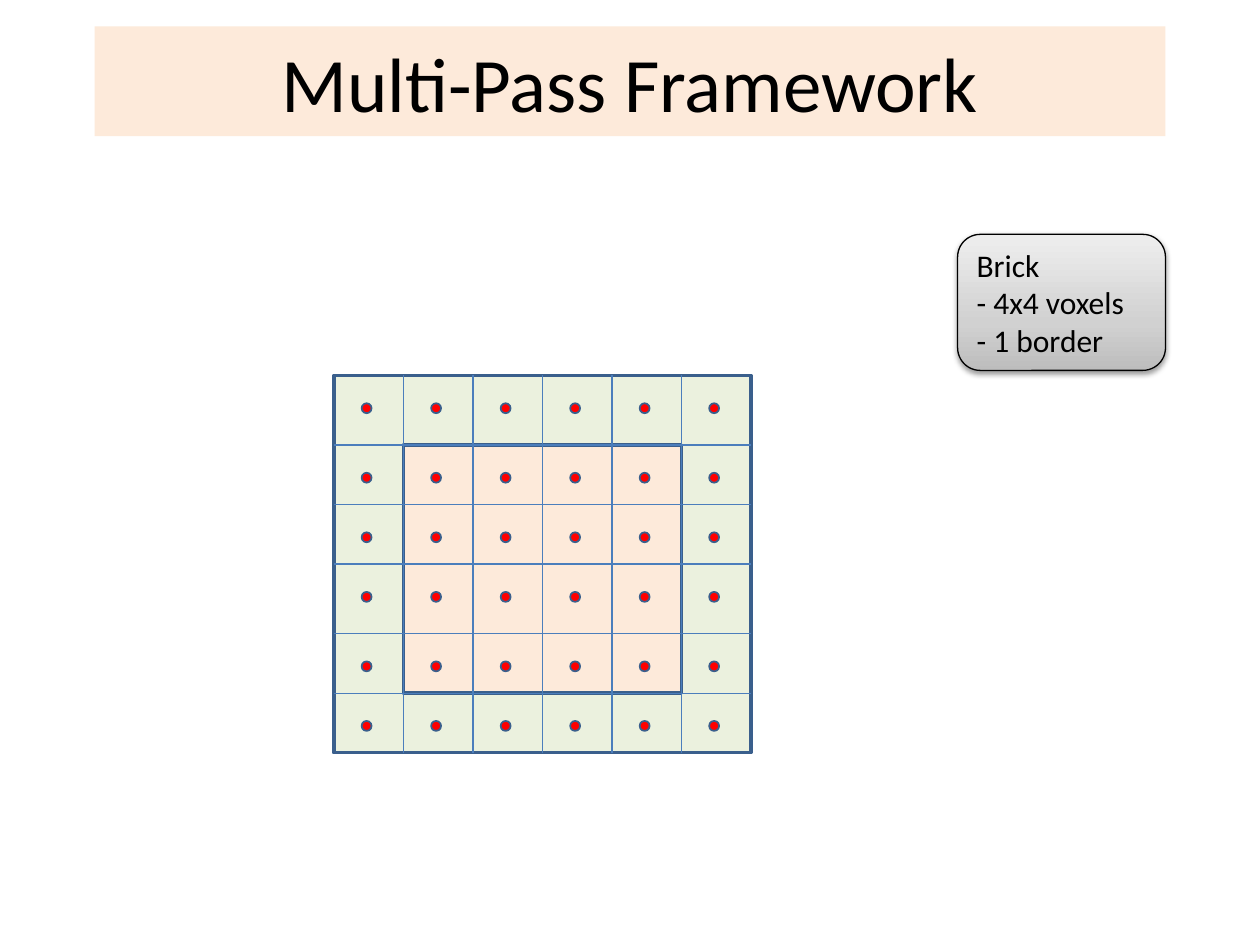
from copy import deepcopy

from lxml import etree
from pptx import Presentation
from pptx import util as u
from pptx.dml.color import RGBColor
from pptx.enum import shapes, text
from pptx.oxml import parse_xml
from pptx.oxml.ns import nsdecls, qn

COLORS = {
    "border": "EBF1DE", "core": "FDEADA", "outline": "3A5F8C", "grid": "4B7EBC",
    "voxel": "FF0000", "ink": "000000",
    "dark": "BDBDBD", "mid": "D1D1D1", "light": "EEEEEE",
}
UNIT = 0.0788
LEFT, TOP = 2.65, 2.98
COLS = [0, 7, 14, 21, 28, 35, 42]
ROWS = [0, 7, 13, 19, 26, 32, 38]
DOT_OFFSET = 2.8
SHADOW = (
    f'<a:effectLst {nsdecls("a")}><a:outerShdw blurRad="40000" dist="20000" '
    'dir="5400000" rotWithShape="0"><a:srgbClr val="{}"><a:alpha val="38000"/>'
    '</a:srgbClr></a:outerShdw></a:effectLst>'
)


class Board:
    """Draws styled elements on one slide, with the brick measured in grid units."""

    def __init__(self, prs):
        self.w, self.h = prs.slide_width, prs.slide_height
        self.s = prs.slides.add_slide(prs.slide_layouts[5])

    def color(self, name):
        return RGBColor.from_string(COLORS[name])

    def x(self, col):
        return u.Inches(LEFT + col * UNIT)

    def y(self, row):
        return u.Inches(TOP + row * UNIT)

    def place(self, x, y, w, h):
        return int(x * self.w), int(y * self.h), int(w * self.w), int(h * self.h)

    def font(self, p, size):
        p.font.name, p.font.size = "Calibri", u.Pt(size)
        p.font.color.rgb = self.color("ink")

    def title(self, words, *box):
        sp = self.s.shapes.title
        sp.left, sp.top, sp.width, sp.height = self.place(*box)
        sp.fill.solid()
        sp.fill.fore_color.rgb = self.color("core")
        tf = sp.text_frame
        tf.text, tf.vertical_anchor = words, text.MSO_ANCHOR.MIDDLE
        p = tf.paragraphs[0]
        p.alignment = text.PP_ALIGN.CENTER
        self.font(p, 44)

    def cell(self, kind, fill, weight, left, top, right, bottom):
        x, y = self.x(left), self.y(top)
        sp = self.s.shapes.add_shape(kind, x, y, self.x(right) - x, self.y(bottom) - y)
        sp.shadow.inherit = False
        sp.fill.solid()
        sp.fill.fore_color.rgb = self.color(fill)
        sp.line.color.rgb, sp.line.width = self.color("outline"), u.Pt(weight)

    def rule(self, left, top, right, bottom):
        line = self.s.shapes.add_connector(
            shapes.MSO_CONNECTOR.STRAIGHT,
            self.x(left), self.y(top), self.x(right), self.y(bottom))
        line.line.color.rgb, line.line.width = self.color("grid"), u.Pt(0.75)
        etree.SubElement(line._element.spPr, qn("a:effectLst"))

    def note(self, lines, *box):
        sp = self.s.shapes.add_shape(
            shapes.MSO_SHAPE.ROUNDED_RECTANGLE, *self.place(*box))
        sp.line.color.rgb, sp.line.width = self.color("ink"), u.Pt(0.75)
        sp.fill.gradient()
        sp.fill.gradient_angle = 90
        stops = sp._element.spPr.find(".//" + qn("a:gsLst"))
        stops.insert(1, deepcopy(stops[0]))
        for stop, (pos, name) in zip(
                sp.fill.gradient_stops, [(0, "dark"), (0.35, "mid"), (1, "light")]):
            stop.position, stop.color.rgb = pos, self.color(name)
        sp._element.spPr.append(parse_xml(SHADOW.format(COLORS["ink"])))
        tf = sp.text_frame
        tf.text, tf.word_wrap = "\n".join(lines), True
        tf.vertical_anchor = text.MSO_ANCHOR.MIDDLE
        for p in tf.paragraphs:
            p.alignment = text.PP_ALIGN.LEFT
            self.font(p, 18)


def main():
    prs = Presentation()
    prs.slide_width, prs.slide_height = u.Inches(10), u.Inches(7.5)
    board = Board(prs)
    rect, oval = shapes.MSO_SHAPE.RECTANGLE, shapes.MSO_SHAPE.OVAL
    board.cell(rect, "border", 2, COLS[0], ROWS[0], COLS[-1], ROWS[-1])
    board.cell(rect, "core", 2, COLS[1], ROWS[1], COLS[-2], ROWS[-2])
    for col in COLS[1:-1]:
        board.rule(col, ROWS[0], col, ROWS[-1])
    for row in ROWS[1:-1]:
        board.rule(COLS[0], row, COLS[-1], row)
    board.note(["Brick", "- 4x4 voxels", "- 1 border"], 0.76, 0.248, 0.165, 0.144)
    for col in COLS[:-1]:
        for row in ROWS[:-1]:
            x, y = col + DOT_OFFSET, row + DOT_OFFSET
            board.cell(oval, "voxel", 1, x, y, x + 1, y + 1)
    board.title("Multi-Pass Framework", 0.075, 0.028, 0.85, 0.116)
    prs.save("out.pptx")


if __name__ == "__main__":
    main()
